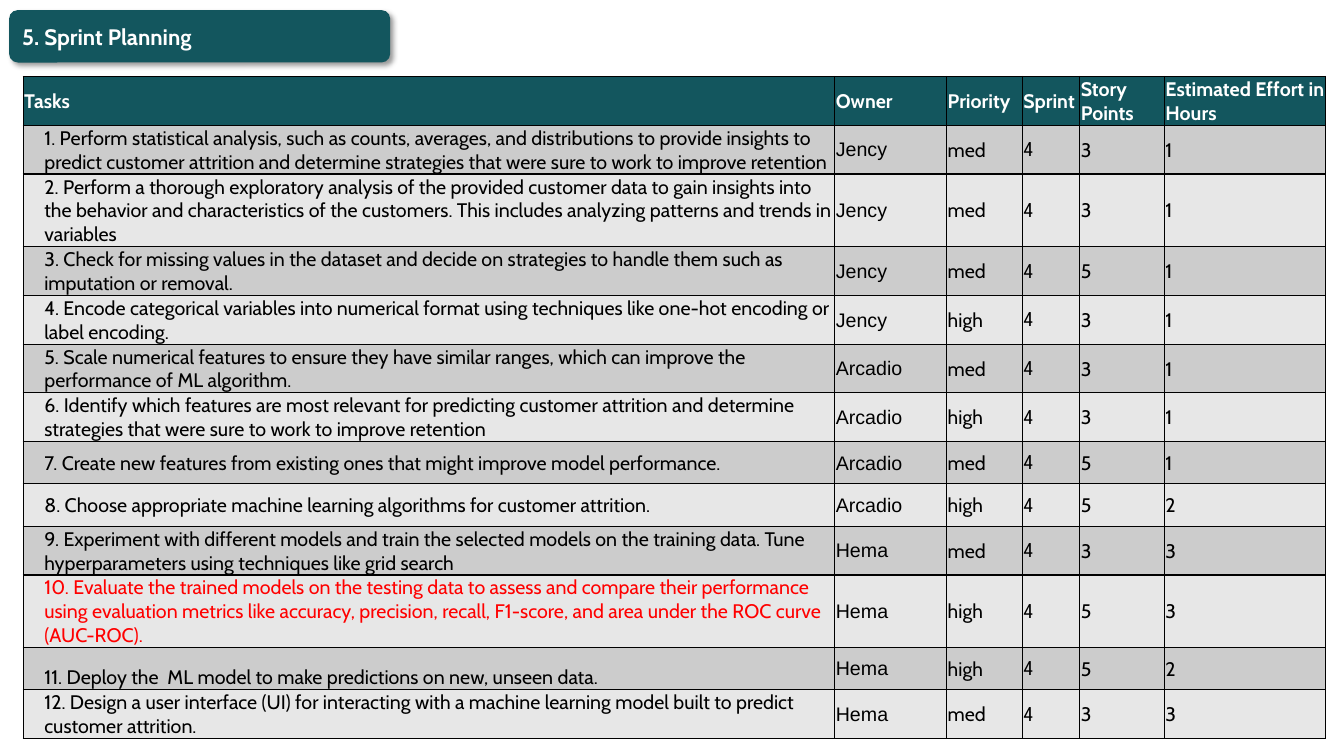
from lxml import etree
from pptx import Presentation
from pptx.dml.color import RGBColor
from pptx.enum import shapes, text
from pptx.oxml import ns
from pptx.util import Inches, Pt

TEAL = RGBColor(0x13, 0x56, 0x5E)
WHITE = RGBColor(0xFF, 0xFF, 0xFF)
BLACK = RGBColor(0x00, 0x00, 0x00)
RED = RGBColor(0xFF, 0x00, 0x00)
DARK_BAND = RGBColor(0xCC, 0xCC, 0xCC)
LIGHT_BAND = RGBColor(0xE7, 0xE7, 0xE7)

HEADERS = ["Tasks", "Owner", "Priority", "Sprint", "Story Points", "Estimated Effort in Hours"]
COLUMN_WIDTHS = [8.05, 1.11, 0.75, 0.57, 0.84, 1.6]
COLUMN_FONTS = ["Cabin", "Arial", "Cabin", "Roboto Condensed", "Cabin", "Cabin"]
HEADER_HEIGHT = 0.47
LINE_HEIGHTS = {1: 0.42, 2: 0.47, 3: 0.7}
SPRINT = "4"
BOTTOM_TASKS = (1, 2, 11)
RED_TASK = 10

TASKS = [
    (2, "1. Perform statistical analysis, such as counts, averages, and distributions to provide insights to "
        "predict customer attrition and determine strategies that were sure to work to improve retention",
     "Jency", "med", "3", "1"),
    (3, "2. Perform a thorough exploratory analysis of the provided customer data to gain insights into "
        "the behavior and characteristics of the customers. This includes analyzing patterns and trends in "
        "variables", "Jency", "med", "3", "1"),
    (2, "3. Check for missing values in the dataset and decide on strategies to handle them such as "
        "imputation or removal.", "Jency", "med", "5", "1"),
    (2, "4. Encode categorical variables into numerical format using techniques like one-hot encoding or "
        "label encoding.", "Jency", "high", "3", "1"),
    (2, "5. Scale numerical features to ensure they have similar ranges, which can improve the "
        "performance of ML algorithm.", "Arcadio", "med", "3", "1"),
    (2, "6. Identify which features are most relevant for predicting customer attrition and determine "
        "strategies that were sure to work to improve retention", "Arcadio", "high", "3", "1"),
    (1, "7. Create new features from existing ones that might improve model performance.",
     "Arcadio", "med", "5", "1"),
    (1, "8. Choose appropriate machine learning algorithms for customer attrition.",
     "Arcadio", "high", "5", "2"),
    (2, "9. Experiment with different models and train the selected models on the training data. Tune "
        "hyperparameters using techniques like grid search", "Hema", "med", "3", "3"),
    (3, "10. Evaluate the trained models on the testing data to assess and compare their performance "
        "using evaluation metrics like accuracy, precision, recall, F1-score, and area under the ROC curve "
        "(AUC-ROC).", "Hema", "high", "5", "3"),
    (1, "11. Deploy the  ML model to make predictions on new, unseen data.", "Hema", "high", "5", "2"),
    (2, "12. Design a user interface (UI) for interacting with a machine learning model built to predict "
        "customer attrition.", "Hema", "med", "3", "3"),
]


def add_element(parent, tag, **attributes):
    element = etree.SubElement(parent, ns.qn(tag))
    for name, value in attributes.items():
        element.set(name, str(value))
    return element


def set_font(paragraph, name, size, color, bold=False):
    font = paragraph.font
    font.name, font.size, font.bold = name, Pt(size), bold
    font.color.rgb = color


def add_drop_shadow(shape):
    shape.shadow.inherit = False
    effects = shape.element.spPr.find(ns.qn("a:effectLst"))
    shadow = add_element(effects, "a:outerShdw", blurRad=Pt(4), dist=Pt(3), dir=45 * 60000,
                         algn="tl", rotWithShape=0)
    color = add_element(shadow, "a:srgbClr", val=BLACK)
    add_element(color, "a:alpha", val=40000)


def add_title_banner(page, left, top, width, height):
    box = [Inches(length) for length in (left, top, width, height)]
    banner = page.shapes.add_shape(shapes.MSO_SHAPE.ROUNDED_RECTANGLE, *box)
    banner.fill.solid()
    banner.fill.fore_color.rgb = TEAL
    banner.line.fill.background()
    add_drop_shadow(banner)

    title = page.shapes.title
    title.left, title.top, title.width, title.height = box
    page.shapes.element.append(title.element)
    frame = title.text_frame
    frame.text = "5. Sprint Planning"
    frame.auto_size = text.MSO_AUTO_SIZE.NONE
    frame.vertical_anchor = text.MSO_ANCHOR.MIDDLE
    frame.margin_left = Inches(0.13)
    paragraph = frame.paragraphs[0]
    paragraph.alignment = text.PP_ALIGN.LEFT
    set_font(paragraph, "Cabin", 16, WHITE, bold=True)


def add_borders(cell):
    properties = cell._tc.get_or_add_tcPr()
    for position, side in enumerate(("a:lnL", "a:lnR", "a:lnT", "a:lnB")):
        line = add_element(properties, side, w=Pt(1))
        add_element(add_element(line, "a:solidFill"), "a:srgbClr", val=BLACK)
        properties.insert(position, line)


def fill_cell(cell, words, fill, font_name, color, bold=False, indent=0, anchor=text.MSO_ANCHOR.MIDDLE):
    cell.text = words
    cell.fill.solid()
    cell.fill.fore_color.rgb = fill
    cell.vertical_anchor = anchor
    cell.margin_left = cell.margin_right = cell.margin_top = Inches(0.01)
    cell.margin_bottom = 0
    paragraph = cell.text_frame.paragraphs[0]
    set_font(paragraph, font_name, 14, color, bold)
    if indent:
        properties = paragraph._p.get_or_add_pPr()
        properties.set("marL", str(Inches(indent)))
        properties.set("indent", "0")
    add_borders(cell)


def add_task_table(page, left, top):
    heights = [HEADER_HEIGHT] + [LINE_HEIGHTS[task[0]] for task in TASKS]
    table = page.shapes.add_table(len(heights), len(HEADERS), Inches(left), Inches(top),
                                  Inches(sum(COLUMN_WIDTHS)), Inches(sum(heights))).table
    for column, width in zip(table.columns, COLUMN_WIDTHS):
        column.width = Inches(width)
    for row, height in zip(table.rows, heights):
        row.height = Inches(height)

    for column, header in enumerate(HEADERS):
        fill_cell(table.cell(0, column), header, TEAL, "Cabin", WHITE, bold=True)
    for number, (_, task, owner, priority, points, effort) in enumerate(TASKS, start=1):
        fill = DARK_BAND if number % 2 else LIGHT_BAND
        anchor = text.MSO_ANCHOR.BOTTOM if number in BOTTOM_TASKS else text.MSO_ANCHOR.MIDDLE
        task_color = RED if number == RED_TASK else BLACK
        fill_cell(table.cell(number, 0), task, fill, COLUMN_FONTS[0], task_color, indent=0.2, anchor=anchor)
        for column, words in enumerate((owner, priority, SPRINT, points, effort), start=1):
            fill_cell(table.cell(number, column), words, fill, COLUMN_FONTS[column], BLACK)


def main():
    deck = Presentation()
    deck.slide_width, deck.slide_height = Inches(13.33), Inches(7.5)
    page = deck.slides.add_slide(deck.slide_layouts[5])
    add_title_banner(page, 0.09, 0.1, 3.78, 0.52)
    add_task_table(page, 0.23, 0.76)
    deck.save("out.pptx")


if __name__ == "__main__":
    main()
